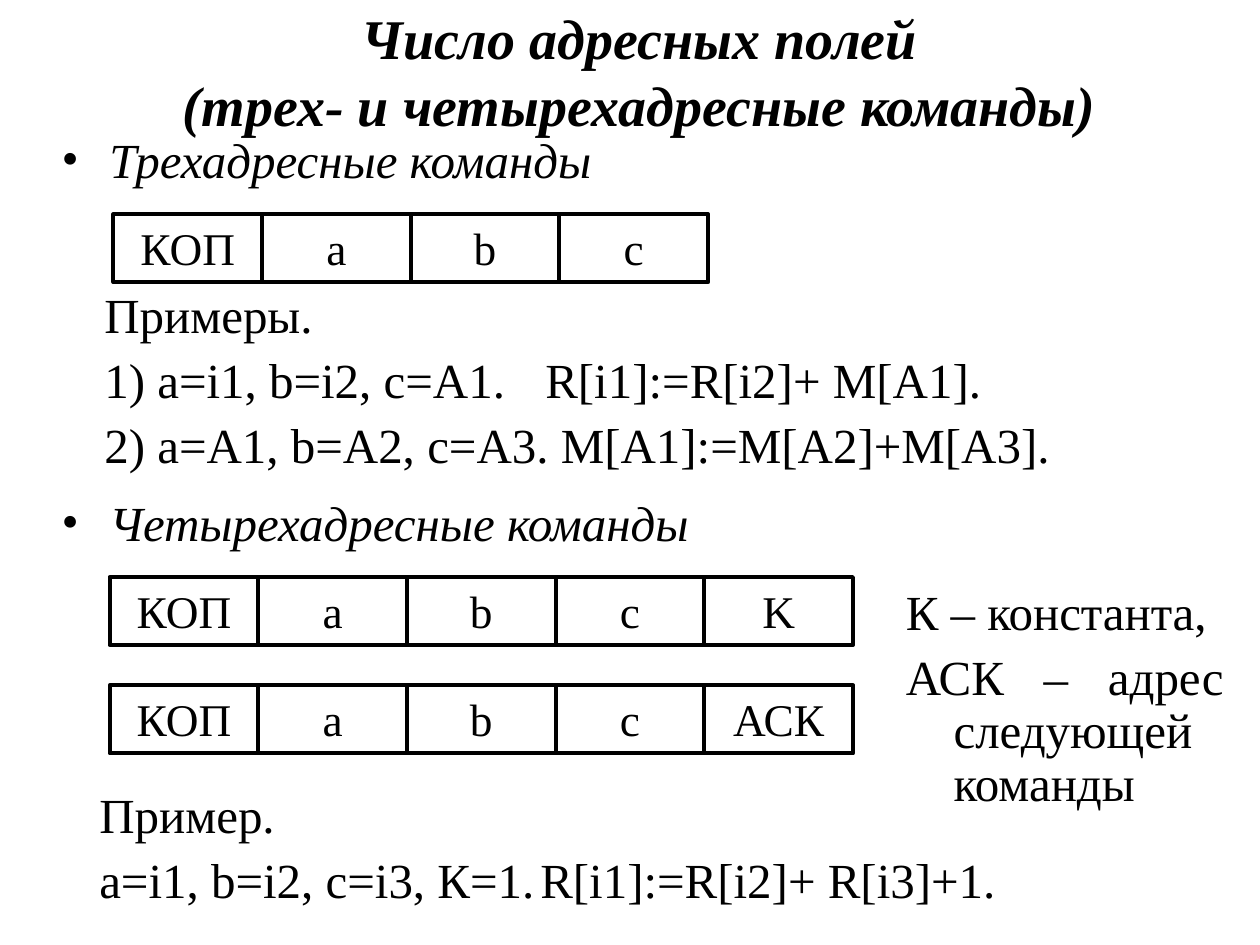
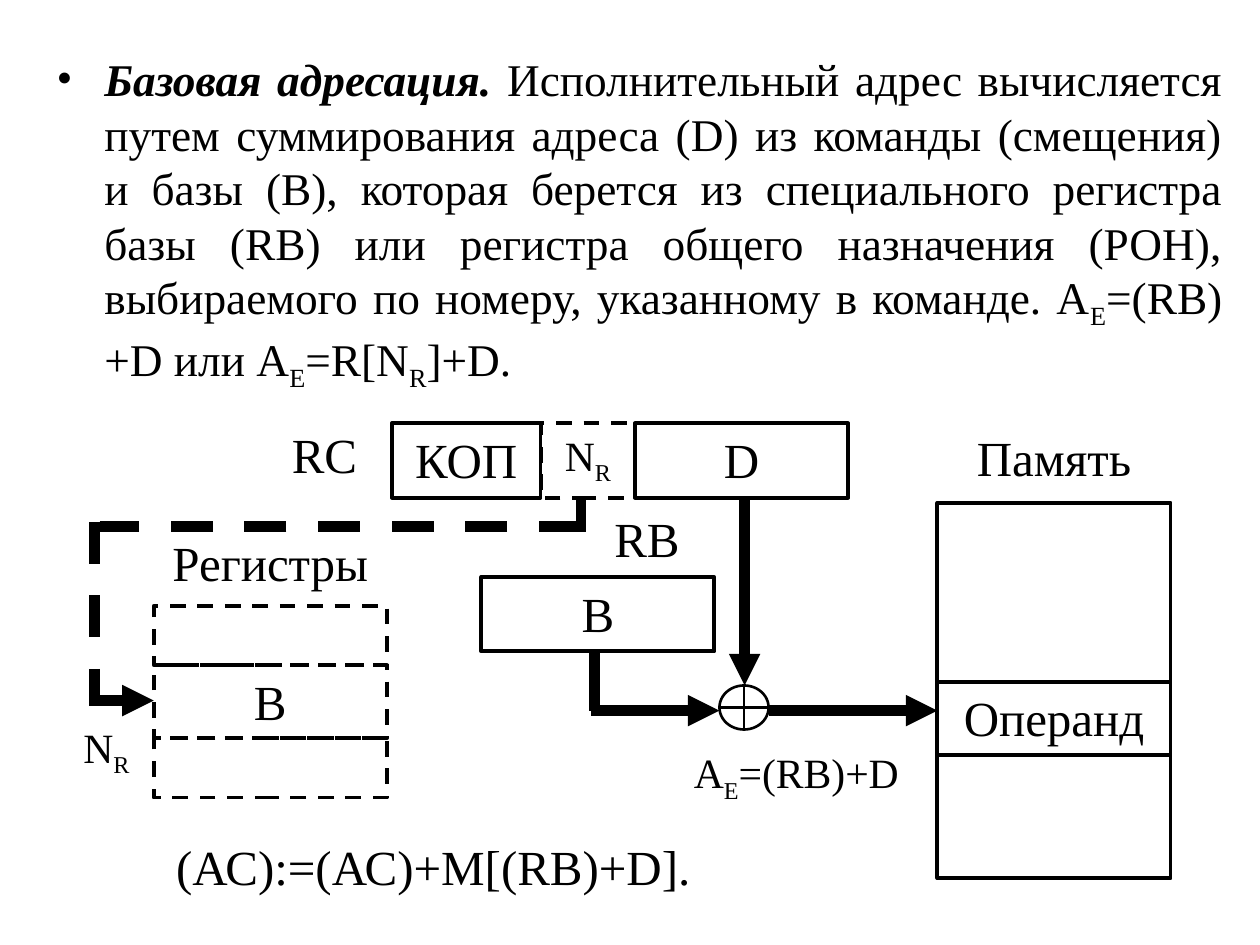
from lxml.etree import SubElement
from pptx import Presentation
from pptx.dml.color import RGBColor
from pptx.enum.dml import MSO_LINE
from pptx.enum.shapes import MSO_CONNECTOR, MSO_SHAPE
from pptx.enum.text import MSO_ANCHOR, PP_ALIGN
from pptx.oxml.ns import qn
from pptx.util import Inches, Pt

BLACK = RGBColor(0, 0, 0)
FONT = "Times New Roman"
LARGE, MEDIUM, SMALL = 28, 25.9, 23.8
HANGING = 0.38
FIELD_WIDTH, FIELD_HEIGHT = 1.18, 0.54
BOX_WIDTH, BOX_HEIGHT = 1.85, 0.59


def style_font(paragraph, size, bold=False, italic=False):
    """Set the shared typeface and colour on a whole paragraph."""
    font = paragraph.font
    font.name, font.size = FONT, Pt(size)
    font.bold, font.italic = bold, italic
    font.color.rgb = BLACK


def add_runs(paragraph, text):
    """Add text, lowering each character that follows an underscore."""
    first, *rest = text.split("_")
    paragraph.add_run().text = first
    for part in rest:
        subscript = paragraph.add_run()
        subscript.text = part[0]
        subscript._r.get_or_add_rPr().set("baseline", "-25000")
        if part[1:]:
            paragraph.add_run().text = part[1:]


def set_indent(paragraph, margin, first_line, bullet=False, tab=None):
    """Set the left margin, first line offset, bullet and tab stop in inches."""
    properties = paragraph._p.get_or_add_pPr()
    properties.set("marL", str(Inches(margin)))
    properties.set("indent", str(Inches(first_line)))
    if bullet:
        SubElement(properties, qn("a:buFont"), typeface=FONT)
        SubElement(properties, qn("a:buChar"), char="•")
    if tab:
        tabs = SubElement(properties, qn("a:tabLst"))
        SubElement(tabs, qn("a:tab"), pos=str(Inches(tab)), algn="l")


def add_text_box(slide, left, top, width, height):
    """Add an empty wrapping text box and return its frame."""
    frame = slide.shapes.add_textbox(Inches(left), Inches(top), Inches(width), Inches(height)).text_frame
    frame.word_wrap = True
    return frame


def add_label(slide, text, left, top, width=BOX_WIDTH, height=BOX_HEIGHT, size=LARGE, align=PP_ALIGN.CENTER):
    """Add a one-line label."""
    paragraph = add_text_box(slide, left, top, width, height).paragraphs[0]
    paragraph.alignment = align
    style_font(paragraph, size)
    add_runs(paragraph, text)


def add_title(slide, lines, left, top, width, height):
    """Add the bold italic slide title."""
    frame = add_text_box(slide, left, top, width, height)
    frame.vertical_anchor = MSO_ANCHOR.MIDDLE
    paragraph = frame.paragraphs[0]
    paragraph.alignment = PP_ALIGN.CENTER
    style_font(paragraph, 32, bold=True, italic=True)
    paragraph.text = "\v".join(lines)


def add_heading(slide, text, left, top):
    """Add an italic bulleted heading."""
    paragraph = add_text_box(slide, left, top, 6.1, 0.57).paragraphs[0]
    paragraph.line_spacing = 0.9
    set_indent(paragraph, HANGING, -HANGING, bullet=True)
    style_font(paragraph, LARGE, italic=True)
    add_runs(paragraph, text)


def add_notes(slide, lines, left, top, width, height, first_line=0, tab=None):
    """Add a block of justified lines."""
    frame = add_text_box(slide, left, top, width, height)
    for index, line in enumerate(lines):
        paragraph = frame.add_paragraph() if index else frame.paragraphs[0]
        paragraph.alignment = PP_ALIGN.JUSTIFY
        paragraph.line_spacing = 0.9
        if index:
            paragraph.space_before = Pt(7)
        set_indent(paragraph, HANGING, first_line, tab=tab)
        style_font(paragraph, LARGE)
        add_runs(paragraph, line)


def add_box(slide, left, top, width, height, text="", size=LARGE, dashed=False,
            kind=MSO_SHAPE.RECTANGLE, weight=2.25):
    """Add an unfilled outlined shape with centred text at the top."""
    shape = slide.shapes.add_shape(kind, Inches(left), Inches(top), Inches(width), Inches(height))
    shape.shadow.inherit = False
    shape.fill.background()
    shape.line.color.rgb = BLACK
    shape.line.width = Pt(weight)
    if dashed:
        shape.line.dash_style = MSO_LINE.DASH
    if text:
        frame = shape.text_frame
        frame.vertical_anchor = MSO_ANCHOR.TOP
        paragraph = frame.paragraphs[0]
        paragraph.alignment = PP_ALIGN.CENTER
        style_font(paragraph, size)
        add_runs(paragraph, text)


def add_command(slide, fields, left, top):
    """Add a row of equal command fields."""
    for index, field in enumerate(fields):
        add_box(slide, left + index * FIELD_WIDTH, top, FIELD_WIDTH, FIELD_HEIGHT, field, MEDIUM)


def add_path(slide, start, end, arrow=False, dashed=False):
    """Add a thick data path, with an arrowhead at its end if asked."""
    points = [Inches(value) for value in (*start, *end)]
    connector = slide.shapes.add_connector(MSO_CONNECTOR.STRAIGHT, *points)
    connector.line.color.rgb = BLACK
    connector.line.width = Pt(6)
    if dashed:
        connector.line.dash_style = MSO_LINE.DASH
    if arrow:
        SubElement(connector.line._get_or_add_ln(), qn("a:tailEnd"), type="triangle")
    SubElement(connector._element.spPr, qn("a:effectLst"))


def add_definition(slide, left, top, width, height):
    """Add the bulleted definition of base addressing."""
    paragraph = add_text_box(slide, left, top, width, height).paragraphs[0]
    paragraph.alignment = PP_ALIGN.JUSTIFY
    set_indent(paragraph, HANGING, -HANGING, bullet=True)
    style_font(paragraph, MEDIUM)
    term = paragraph.add_run()
    term.text = "Базовая адресация."
    term.font.bold = term.font.italic = True
    add_runs(paragraph, " Исполнительный адрес вычисляется путем суммирования адреса (D) из команды "
             "(смещения) и базы (B), которая берется из специального регистра базы (RB) или регистра "
             "общего назначения (РОН), выбираемого по номеру, указанному в команде. "
             "А_Е=(RB)+D или А_Е=R[N_R]+D.")


def add_stack(slide, title, title_gap, cells, left, top, dashed=False):
    """Add a titled column of cells given as (height, text)."""
    add_label(slide, title, left, top - title_gap)
    for height, text in cells:
        add_box(slide, left, top, BOX_WIDTH, height, text, dashed=dashed)
        top += height


def add_command_register(slide, left, top):
    """Add the command register with its three fields."""
    add_label(slide, "RC", left - 0.91, top - 0.04, 0.75)
    fields = [("КОП", 1.18, LARGE, False), ("N_R", 0.75, SMALL, True), ("D", 1.69, LARGE, False)]
    for text, width, size, dashed in fields:
        add_box(slide, left, top, width, BOX_HEIGHT, text, size, dashed)
        left += width


def add_base_register(slide, left, top):
    """Add the base register and its label."""
    add_label(slide, "RB", left + 0.94, top - BOX_HEIGHT, 0.75)
    add_box(slide, left, top, BOX_WIDTH, BOX_HEIGHT, "В")


def add_adder(slide, left, top):
    """Add the adder and the address it produces."""
    add_box(slide, left, top, 0.39, 0.35, kind=MSO_SHAPE.FLOWCHART_OR, weight=1.5)
    add_label(slide, "А_Е=(RB)+D", left - 0.59, top + 0.44, 2.4, size=SMALL)


def add_data_paths(slide):
    """Connect the registers, the adder and the memory."""
    add_path(slide, (4.72, 5.17), (4.72, 5.64))
    add_path(slide, (4.69, 5.64), (5.71, 5.64), arrow=True)
    add_path(slide, (5.91, 3.95), (5.91, 5.44), arrow=True)
    add_path(slide, (6.1, 5.64), (7.44, 5.64), arrow=True)
    add_path(slide, (4.61, 4.22), (4.61, 3.95), dashed=True)
    add_path(slide, (4.61, 4.18), (0.79, 4.18), dashed=True)
    add_path(slide, (0.75, 4.14), (0.75, 5.56), dashed=True)
    add_path(slide, (0.71, 5.56), (1.22, 5.56), arrow=True, dashed=True)


def build_address_fields(slide):
    """Build the slide on three- and four-address commands."""
    add_title(slide, ["Число адресных полей", "(трех- и четырехадресные команды)"], 0.31, 0.01, 9.53, 1.1)
    operands = ["КОП", "а", "b", "c"]
    add_heading(slide, "Трехадресные команды", 0.39, 1.03)
    add_command(slide, operands, 0.9, 1.7)
    add_notes(slide, ["Примеры.",
                      "1) a=i1, b=i2, c=А1.\tR[i1]:=R[i2]+ М[А1].",
                      "2) a=А1, b=А2, c=А3. М[А1]:=М[А2]+М[А3]."], 0.35, 2.26, 9.17, 1.61, tab=4)
    add_heading(slide, "Четырехадресные команды", 0.39, 3.91)
    for top, last_field in [(4.58, "K"), (5.44, "АСК")]:
        add_command(slide, operands + [last_field], 0.87, top)
    add_notes(slide, ["К – константа,", "АСК – адрес следующей команды"],
              7.09, 4.62, 2.72, 1.89, first_line=-HANGING)
    add_notes(slide, ["Пример.", "a=i1, b=i2, c=i3, К=1.\tR[i1]:=R[i2]+ R[i3]+1."],
              0.31, 6.23, 9.65, 1.22, tab=3.65)


def build_base_addressing(slide):
    """Build the slide on base addressing."""
    add_definition(slide, 0.35, 0.36, 9.45, 2.91)
    add_stack(slide, "Память", 0.65, [(1.42, ""), (0.58, "Операнд"), (0.98, "")], 7.44, 3.99)
    add_stack(slide, "Регистры", 0.63, [(0.47, ""), (0.58, "B"), (0.47, "")], 1.22, 4.81, dashed=True)
    add_label(slide, "N_R", 0.47, 5.68, 0.75, size=SMALL)
    add_command_register(slide, 3.11, 3.36)
    add_base_register(slide, 3.82, 4.58)
    add_adder(slide, 5.71, 5.44)
    add_data_paths(slide)
    add_label(slide, "(АС):=(АС)+М[(RB)+D].", 1.3, 6.59, 5.91, 0.57, align=PP_ALIGN.LEFT)


def main():
    """Create and save the presentation."""
    presentation = Presentation()
    presentation.slide_width, presentation.slide_height = Inches(10), Inches(7.5)
    for build in (build_address_fields, build_base_addressing):
        build(presentation.slides.add_slide(presentation.slide_layouts[6]))
    presentation.save("out.pptx")


if __name__ == "__main__":
    main()
